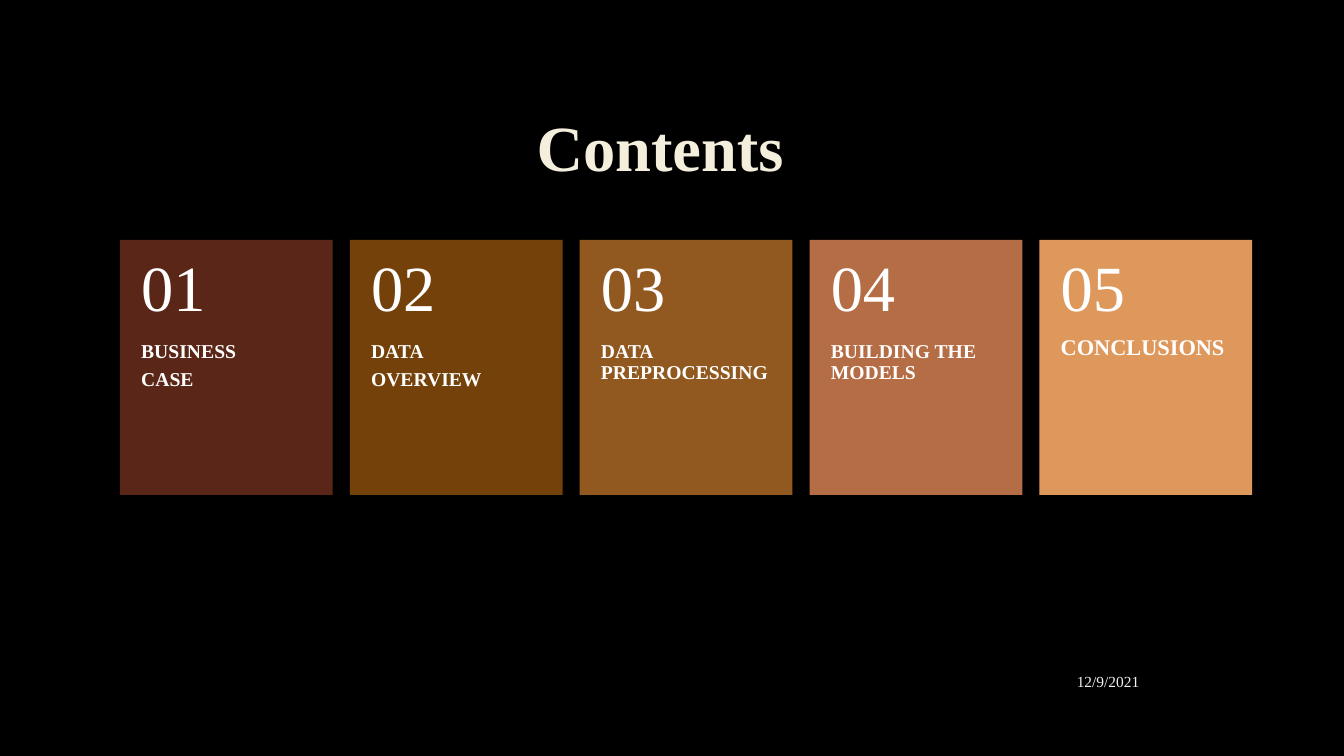
from lxml import etree
from pptx import Presentation
from pptx.dml.color import RGBColor
from pptx.enum.shapes import MSO_SHAPE
from pptx.enum.text import MSO_ANCHOR, PP_ALIGN
from pptx.oxml import parse_xml
from pptx.oxml.ns import nsdecls
from pptx.util import Inches, Pt

BLACK = RGBColor(0x00, 0x00, 0x00)
WHITE = RGBColor(0xFF, 0xFF, 0xFF)
CREAM = RGBColor(0xF4, 0xEE, 0xDC)
PALE_GREY = RGBColor(0xF2, 0xF2, 0xF2)
MAROON = RGBColor(0x5A, 0x26, 0x17)
BROWN = RGBColor(0x73, 0x41, 0x09)
BRONZE = RGBColor(0x91, 0x58, 0x1F)
COPPER = RGBColor(0xB5, 0x6D, 0x45)
APRICOT = RGBColor(0xDF, 0x98, 0x5C)

# Section lines, label size, card colour
SECTIONS = [
    (["BUSINESS", "CASE"], 14, MAROON),
    (["DATA", "OVERVIEW"], 14, BROWN),
    (["DATA PREPROCESSING"], 14, BRONZE),
    (["BUILDING THE MODELS"], 14, COPPER),
    (["CONCLUSIONS"], 16, APRICOT),
]
CARD_LEFT, CARD_TOP, CARD_PITCH = 1.19, 2.38, 2.28
CARD_W, CARD_H, NUMBER_H = 2.11, 2.53, 1.01


class ContentsSlide:
    font = "Times New Roman"

    def __init__(self, prs):
        self.s = prs.slides.add_slide(prs.slide_layouts[6])
        fill = self.s.background.fill
        fill.solid()
        fill.fore_color.rgb = BLACK

    def text(self, shapes, box, lines, size, color, bold=False,
             align=PP_ALIGN.LEFT, anchor=MSO_ANCHOR.MIDDLE,
             insets=(0.1, 0.05, 0.1, 0.05), line_spacing=0.9, after=0):
        sp = shapes.add_textbox(*map(Inches, box))
        tf = sp.text_frame
        tf.word_wrap = True
        tf.vertical_anchor = anchor
        (tf.margin_left, tf.margin_top,
         tf.margin_right, tf.margin_bottom) = map(Inches, insets)
        tf.text = "\n".join(lines)
        for p in tf.paragraphs:
            p.alignment = align
            p.line_spacing = line_spacing
            p.space_after = Pt(after)
            p.font.name = self.font
            p.font.size = Pt(size)
            p.font.bold = bold
            p.font.color.rgb = color
        return tf

    def title(self, box, text):
        tf = self.text(self.s.shapes, box, [text], 46, CREAM, bold=True,
                       align=PP_ALIGN.CENTER)
        # Faint outline around the letters
        r = tf.paragraphs[0].runs[0]
        outline = parse_xml(
            f'<a:ln {nsdecls("a")} w="9525"><a:solidFill>'
            '<a:srgbClr val="404040"><a:alpha val="10000"/></a:srgbClr>'
            '</a:solidFill><a:prstDash val="solid"/></a:ln>')
        r.font._element.insert(0, outline)

    def card(self, left, number, lines, size, color):
        shapes = self.s.shapes.add_group_shape().shapes
        sp = shapes.add_shape(MSO_SHAPE.RECTANGLE, Inches(left),
                              Inches(CARD_TOP), Inches(CARD_W), Inches(CARD_H))
        sp.shadow.inherit = False
        sp.fill.solid()
        sp.fill.fore_color.rgb = color
        sp.line.fill.background()
        self.text(shapes,
                  (left, CARD_TOP + NUMBER_H, CARD_W, CARD_H - NUMBER_H),
                  lines, size, WHITE, bold=True, anchor=MSO_ANCHOR.TOP,
                  insets=(0.21, 0, 0.21, 0.36), after=5)
        self.text(shapes, (left, CARD_TOP, CARD_W, NUMBER_H),
                  [f"{number:02d}"], 46, WHITE,
                  insets=(0.21, 0.18, 0.21, 0.18))

    def date(self, box, text):
        self.text(self.s.shapes, box, [text], 11, PALE_GREY,
                  align=PP_ALIGN.RIGHT, line_spacing=1.0)


def main():
    prs = Presentation()
    prs.slide_width, prs.slide_height = Inches(13.33), Inches(7.5)
    slide = ContentsSlide(prs)

    # Heading
    slide.title((4.9, 0.91, 3.29, 1.17), "Contents")

    # Row of numbered cards
    for i, (lines, size, color) in enumerate(SECTIONS):
        slide.card(CARD_LEFT + i * CARD_PITCH, i + 1, lines, size, color)

    # Date
    slide.date((8.4, 6.56, 3, 0.4), "12/9/2021")
    prs.save("out.pptx")


if __name__ == "__main__":
    main()
